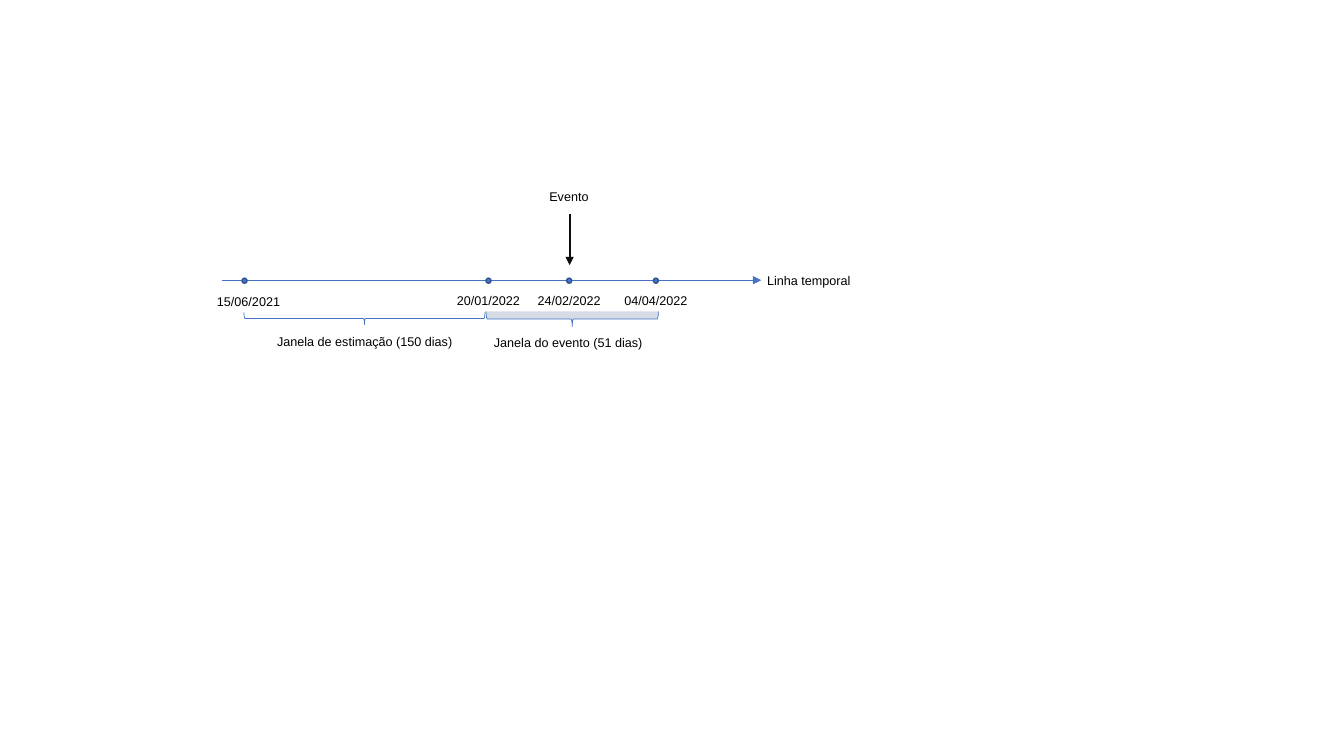
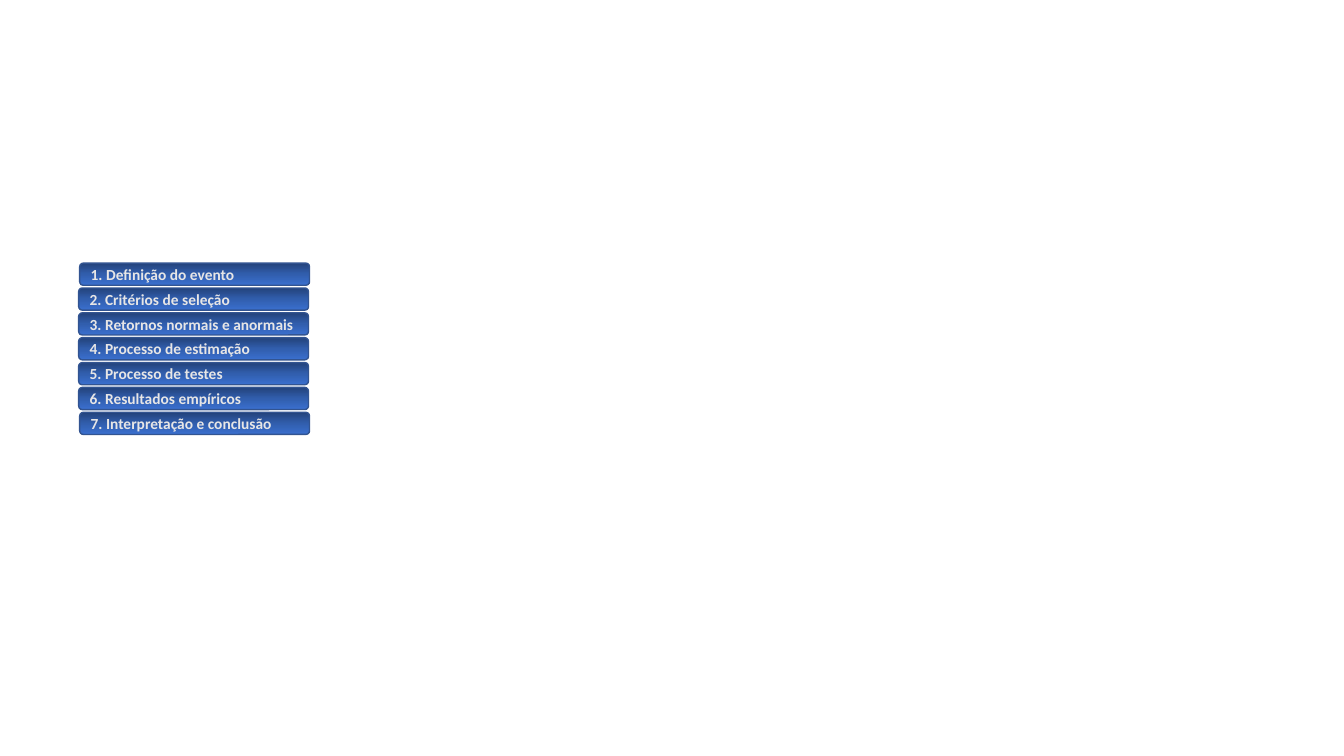
from lxml import etree
from pptx import Presentation
from pptx.dml.color import RGBColor
from pptx.enum import shapes, text
from pptx.oxml.ns import qn
from pptx.util import Inches, Pt

import copy

BLACK = RGBColor(0x00, 0x00, 0x00)
ARROW_BLACK = RGBColor(0x0D, 0x0D, 0x0D)
BLUE = RGBColor(0x44, 0x72, 0xC4)
DARK_BLUE = RGBColor(0x32, 0x54, 0x91)
PALE_GRAY = RGBColor(0xD6, 0xDC, 0xE5)
LIGHT_TEXT = RGBColor(0xE7, 0xE6, 0xE6)
GRADIENT = [
    (0, RGBColor(0x23, 0x42, 0x7A)),
    (0.5, RGBColor(0x31, 0x5E, 0xAD)),
    (1, RGBColor(0x3A, 0x6F, 0xCE)),
]

LABEL_FONT = {"name": "Arial", "size": Pt(9)}
STEP_FONT = {"name": "Calibri", "size": Pt(11), "bold": True}


def write(paragraph, words, font, color):
    run = paragraph.add_run()
    run.text = words
    for name, value in font.items():
        setattr(run.font, name, value)
    run.font.color.rgb = color


def add_label(slide, words, left, top, width, centered=False):
    box = slide.shapes.add_textbox(
        Inches(left), Inches(top), Inches(width), Inches(0.25))
    frame = box.text_frame
    frame.word_wrap = centered
    frame.auto_size = text.MSO_AUTO_SIZE.SHAPE_TO_FIT_TEXT
    paragraph = frame.paragraphs[0]
    if centered:
        paragraph.alignment = text.PP_ALIGN.CENTER
    write(paragraph, words, LABEL_FONT, BLACK)


def add_arrow(slide, start, end, color, weight):
    arrow = slide.shapes.add_connector(
        shapes.MSO_CONNECTOR.STRAIGHT, *map(Inches, start + end))
    arrow.line.color.rgb = color
    arrow.line.width = Pt(weight)
    etree.SubElement(arrow.line._get_or_add_ln(), qn("a:tailEnd"), type="triangle")
    etree.SubElement(arrow._element.spPr, qn("a:effectLst"))


def add_outlined(slide, kind, box, line_color, weight, fill=None):
    shape = slide.shapes.add_shape(kind, *map(Inches, box))
    shape.shadow.inherit = False
    shape.line.color.rgb = line_color
    shape.line.width = Pt(weight)
    if fill is None:
        shape.fill.background()
    else:
        shape.fill.solid()
        shape.fill.fore_color.rgb = fill
    return shape


def add_brace(slide, left, top, width, height, fill=None):
    """Brace opening upwards, given by the box it covers once turned."""
    center_x, center_y = left + width / 2, top + height / 2
    box = (center_x - height / 2, center_y - width / 2, height, width)
    brace = add_outlined(slide, shapes.MSO_SHAPE.RIGHT_BRACE, box, BLUE, 0.5, fill)
    brace.rotation = 90


def build_timeline(slide, left, top, width):
    axis = top + 0.96
    event = left + 3.45

    # Event arrow and time axis
    add_arrow(slide, (event, top + 0.3), (event, top + 0.81), ARROW_BLACK, 1.5)
    add_label(slide, "Evento", event - 0.3, top, 0.59)
    add_arrow(slide, (left, axis), (left + width, axis), BLUE, 0.5)
    add_label(slide, "Linha temporal", left + width - 0.04, axis - 0.12, 1.04)

    # Windows below the axis
    add_brace(slide, left + 2.62, axis + 0.31, 1.71, 0.15, PALE_GRAY)
    add_label(slide, "Janela do evento (51 dias)", left + 2.6, axis + 0.49, 1.69)
    add_brace(slide, left + 0.22, axis + 0.32, 2.39, 0.12)
    add_label(slide, "Janela de estimação (150 dias)", left + 0.45, axis + 0.48, 1.96)

    # Dates: position, words, shift of the label right and down
    dot, label_width = 0.05, 1.03
    dates = [
        (0.22, "15/06/2021", 0.04, 0.01),
        (2.64, "20/01/2022", 0, 0),
        (3.44, "24/02/2022", 0, 0),
        (4.3, "04/04/2022", 0, 0),
    ]
    for offset, words, right, down in dates:
        center = left + offset + 0.005
        add_outlined(slide, shapes.MSO_SHAPE.OVAL,
                     (center - dot / 2, axis - 0.02, dot, dot), DARK_BLUE, 1, BLUE)
        add_label(slide, words, center - label_width / 2 + right,
                  axis + 0.08 + down, label_width, centered=True)


def fill_gradient(shape):
    fill = shape.fill
    fill.gradient()
    fill.gradient_angle = 270
    first = fill.gradient_stops[0]._gs
    first.addnext(copy.deepcopy(first))
    for stop, (position, color) in zip(fill.gradient_stops, GRADIENT):
        stop.position = position
        stop.color.rgb = color


def build_steps(slide, left, top, width, height):
    steps = [
        "Definição do evento",
        "Critérios de seleção",
        "Retornos normais e anormais",
        "Processo de estimação",
        "Processo de testes",
        "Resultados empíricos",
        "Interpretação e conclusão",
    ]
    bar_height = 0.22
    last = len(steps) - 1
    pitch = (height - bar_height) / last
    for index, words in enumerate(steps):
        indent = 0.01 if index in (0, last) else 0
        bar = add_outlined(
            slide, shapes.MSO_SHAPE.ROUNDED_RECTANGLE,
            (left + indent, top + index * pitch, width, bar_height), DARK_BLUE, 1)
        fill_gradient(bar)
        frame = bar.text_frame
        frame.vertical_anchor = text.MSO_ANCHOR.MIDDLE
        paragraph = frame.paragraphs[0]
        paragraph.alignment = text.PP_ALIGN.LEFT
        write(paragraph, f"{index + 1}. {words}", STEP_FONT, LIGHT_TEXT)


presentation = Presentation()
presentation.slide_width = Inches(13.33)
presentation.slide_height = Inches(7.5)
blank = presentation.slide_layouts[6]

build_timeline(presentation.slides.add_slide(blank), 2.2, 1.82, 5.35)
build_steps(presentation.slides.add_slide(blank), 0.78, 2.61, 2.28, 1.7)

presentation.save("out.pptx")
